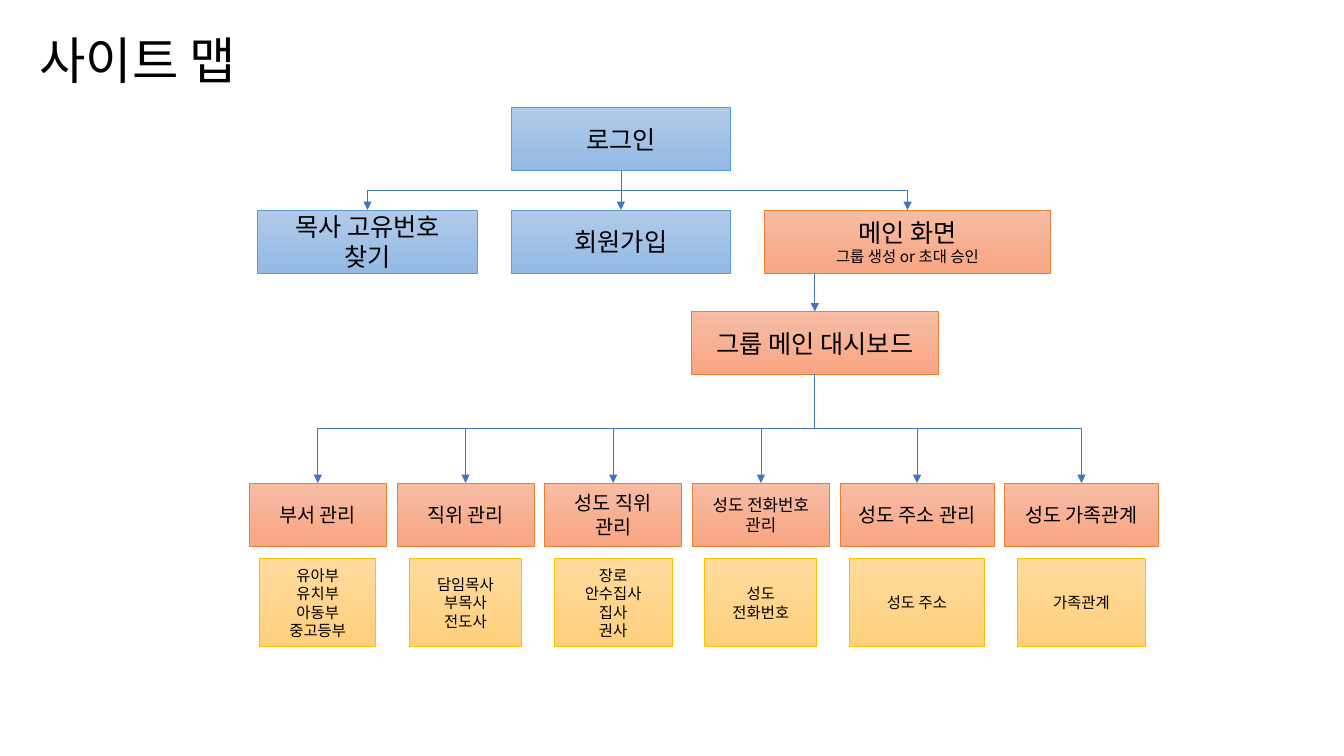
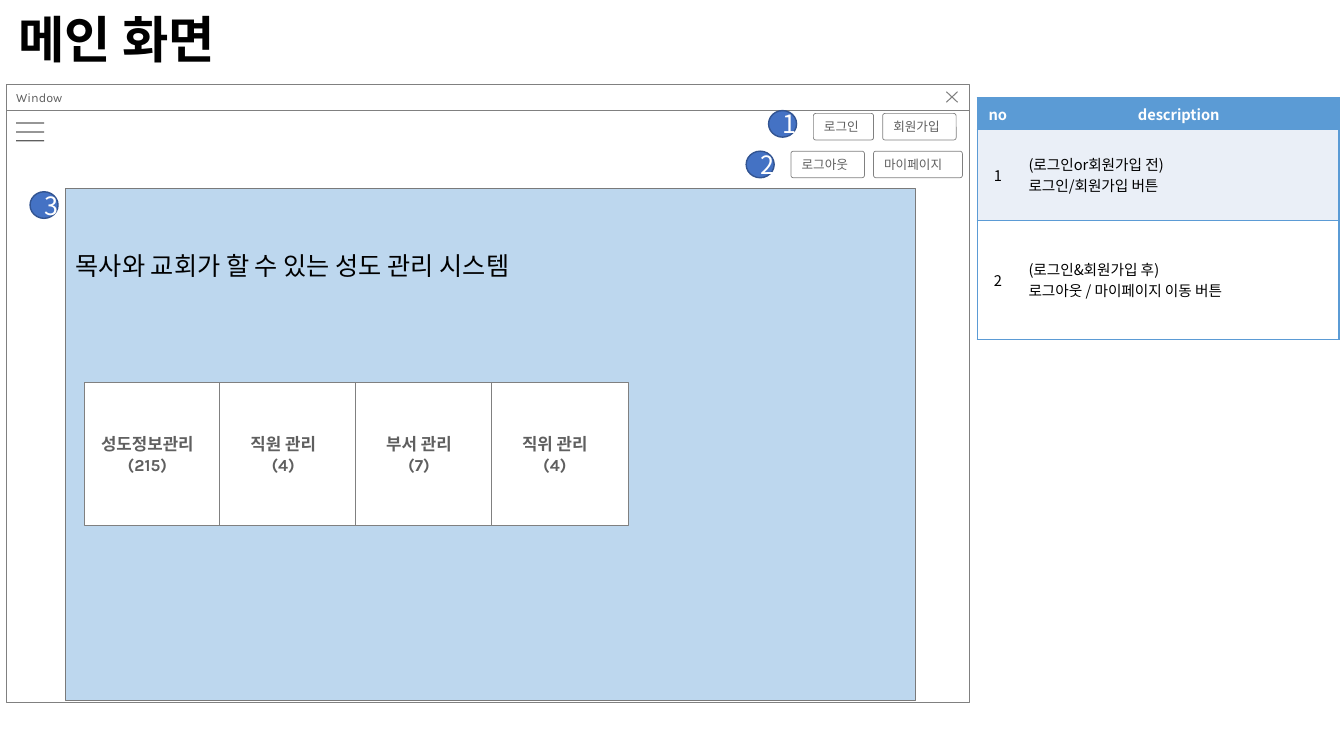
from dataclasses import dataclass
from typing import NamedTuple

from lxml.etree import SubElement
from pptx import Presentation
from pptx.dml.color import RGBColor
from pptx.enum.shapes import MSO_CONNECTOR, MSO_SHAPE
from pptx.enum.text import MSO_ANCHOR, PP_ALIGN
from pptx.oxml import parse_xml
from pptx.oxml.ns import nsdecls, qn
from pptx.util import Pt


@dataclass(frozen=True)
class Theme:
    font: str = "Noto Sans CJK KR"
    latin: str = "Karla"
    ink: str = "000000"
    white: str = "FFFFFF"
    gray: str = "5F5F5F"
    frame: str = "808080"
    edge: str = "7A7A7A"
    link: str = "4472C4"
    rim: str = "325491"
    sky: str = "BDD7EE"
    head: str = "5B9BD5"
    band: str = "EAEFF7"
    blue: tuple = ("B1CBE9", "93B9E4", "5B9BD5")
    coral: tuple = ("F7BDA5", "F8A582", "ED7D31")
    gold: tuple = ("FFDB9E", "FFD07C", "FFC000")
    title: float = 36
    large: float = 18
    mid: float = 14
    label: float = 12
    small: float = 11
    cell: float = 10.5
    tiny: float = 9
    thin: float = 0.5


class Box(NamedTuple):
    x: float
    y: float
    w: float
    h: float

    def place(self):
        return [Pt(v) for v in self]


T = Theme()
RECT = MSO_SHAPE.RECTANGLE


def rgb(code):
    return RGBColor.from_string(code)


def write(frame, text, size, color=T.ink, font=T.font, bold=False, align=PP_ALIGN.CENTER):
    frame.text = text
    for par in frame.paragraphs:
        par.alignment = align
        for run in par.runs:
            run.font.size = Pt(size)
            run.font.bold = bold
            run.font.color.rgb = rgb(color)
            run.font.name = font
            SubElement(run._r.get_or_add_rPr(), qn("a:ea")).set("typeface", T.font)


def pen(shape, color, width=T.thin):
    shape.line.color.rgb = rgb(color)
    shape.line.width = Pt(width)


def block(slide, box, fill=T.white, edge=T.frame, width=T.thin, kind=RECT):
    shape = slide.shapes.add_shape(kind, *box.place())
    shape.shadow.inherit = False
    shape.fill.solid()
    shape.fill.fore_color.rgb = rgb(fill)
    pen(shape, edge, width)
    shape.text_frame.word_wrap = True
    return shape


def node(slide, box, text, tone, size=T.large):
    top, low, edge = tone
    shape = block(slide, box, top, edge)
    shape.fill.gradient()
    shape.fill.gradient_angle = 270
    for stop, color in zip(shape.fill.gradient_stops, (top, low)):
        stop.color.rgb = rgb(color)
    write(shape.text_frame, text, size)
    return shape


def title(slide, box, text, bold=False):
    frame = slide.shapes.add_textbox(*box.place()).text_frame
    frame.word_wrap = True
    write(frame, text, T.title, bold=bold, align=PP_ALIGN.LEFT)
    frame.paragraphs[0].line_spacing = 0.9


def arrow(line):
    pen(line, T.link)
    SubElement(line.line._get_or_add_ln(), qn("a:tailEnd")).set("type", "triangle")
    SubElement(line._element.spPr, qn("a:effectLst"))


def drop(slide, x, y, low, high=None):
    line = slide.shapes.add_connector(MSO_CONNECTOR.STRAIGHT, Pt(x), Pt(y), Pt(x), low.top)
    if high is not None:
        line.begin_connect(high, 2)
    line.end_connect(low, 0)
    arrow(line)


def bend(slide, high, low):
    x1, y1 = high.left + high.width // 2, high.top + high.height
    x2, y2 = low.left + low.width // 2, low.top
    line = slide.shapes.add_connector(MSO_CONNECTOR.ELBOW, x1, y1, x2, y2)
    line.begin_connect(high, 2)
    line.end_connect(low, 0)
    run, rise = abs(x2 - x1), y2 - y1
    line.left, line.top = (x1 + x2 - rise) // 2, (y1 + y2 - run) // 2
    line.width, line.height = rise, run
    right = x2 > x1
    form = line._element.spPr.get_or_add_xfrm()
    form.set("rot", "16200000" if right else "5400000")
    form.set("flipH", "1" if right else "0")
    arrow(line)


def entry(slide, box):
    step, wide, high = 181, 157, 45
    mid = box.x + step
    row = box.y + 73
    login = node(slide, Box(mid, box.y, wide, high), "로그인", T.blue)
    find = node(slide, Box(box.x, row, wide, high), "목사 고유번호\n찾기", T.blue)
    join = node(slide, Box(mid, row, wide, high), "회원가입", T.blue)
    home = node(slide, Box(mid + step, row, 204.5, high),
                "메인 화면\n그룹 생성 or 초대 승인", T.coral)
    for run in home.text_frame.paragraphs[1].runs:
        run.font.size = Pt(T.small)
    drop(slide, mid + wide / 2, box.y + high, join, login)
    bend(slide, login, find)
    bend(slide, login, home)


def menu(slide, box, items):
    high, gap = 45, 7.5
    dash = node(slide, Box(box.x + 316, box.y, 176, high), "그룹 메인 대시보드", T.coral)
    drop(slide, box.x + 404, box.y - 27.5, dash)
    x, row = box.x, box.y + 122.5
    for text, size, wide, leaf, slim in items:
        head = node(slide, Box(x, row, wide, high), text, T.coral, size)
        node(slide, Box(x + (wide - slim) / 2, row + 54, slim, 63), leaf, T.gold, T.small)
        bend(slide, dash, head)
        x += wide + gap


def sitemap(slide):
    title(slide, Box(13, 22, 828, 104), " 사이트 맵")
    entry(slide, Box(184, 77, 572, 118))
    menu(slide, Box(178, 222.5, 650, 240), [
        ("부서 관리", T.mid, 98, "유아부\n유치부\n아동부\n중고등부", 83),
        ("직위 관리", T.mid, 98, "담임목사\n부목사\n전도사", 80),
        ("성도 직위\n관리", T.mid, 98, "장로\n안수집사\n집사\n권사", 84),
        ("성도 전화번호\n관리", T.label, 98, "성도\n전화번호", 80),
        ("성도 주소 관리", T.mid, 110, "성도 주소", 96.5),
        ("성도 가족관계", T.mid, 110, "가족관계", 91),
    ])


def trace(slide, paths, close):
    paths = [[(Pt(x), Pt(y)) for x, y in route] for route in paths]
    maker = slide.shapes.build_freeform(*paths[0][0], scale=1.0)
    for route in paths:
        maker.move_to(*route[0])
        maker.add_line_segments(route[1:], close=close)
    shape = maker.convert_to_shape()
    shape.shadow.inherit = False
    return shape


def cross(slide, box):
    x, y, w, h = box
    shape = trace(slide, [[(x + w, y), (x, y + h)], [(x, y), (x + w, y + h)]], False)
    shape.fill.background()
    pen(shape, T.frame, 0.75)


def bars(slide, box):
    x, y, w, h = box
    thick = 0.9
    tops = [y + i * (h - thick) / 2 for i in range(3)]
    shape = trace(slide, [[(x, t), (x, t + thick), (x + w, t + thick), (x + w, t)]
                          for t in tops], True)
    shape.fill.solid()
    shape.fill.fore_color.rgb = rgb(T.gray)
    shape.line.fill.background()


def window(slide, box):
    bar = 18.5
    block(slide, Box(box.x, box.y + bar, box.w, box.h - bar))
    top = block(slide, Box(box.x, box.y, box.w, bar))
    write(top.text_frame, "Window", T.tiny, T.gray, T.latin, align=PP_ALIGN.LEFT)
    cross(slide, Box(box.x + box.w - 16.5, box.y + 5.5, 8, 7.5))
    bars(slide, Box(box.x + 7, box.y + 27.5, 20, 13.5))


def badge(slide, x, y, text):
    shape = block(slide, Box(x, y, 20, 19), T.link, T.rim, 1, MSO_SHAPE.OVAL)
    write(shape.text_frame, text, T.large, T.white)


def buttons(slide, box, items):
    x = box.x
    for text, wide in items:
        shape = block(slide, Box(x, box.y, wide, box.h), kind=MSO_SHAPE.ROUNDED_RECTANGLE)
        shape.adjustments[0] = 0.09
        write(shape.text_frame, text, T.tiny, T.gray, T.latin, align=PP_ALIGN.LEFT)
        x += wide + 6.5


def hero(slide, box, tiles):
    shape = block(slide, box, T.sky, T.edge, 1)
    frame = shape.text_frame
    frame.vertical_anchor = MSO_ANCHOR.TOP
    frame.margin_top = Pt(44)
    write(frame, "목사와 교회가 할 수 있는 성도 관리 시스템", T.large, align=PP_ALIGN.LEFT)
    for i, text in enumerate(tiles):
        tile = block(slide, Box(box.x + 13 + 97 * i, box.y + 139, 98, 102))
        tile.text_frame.margin_right = Pt(14.5)
        write(tile.text_frame, text, T.label, T.gray, T.latin, True)


def border(cell, sides):
    props = cell._tc.get_or_add_tcPr()
    for i, side in enumerate(sides):
        props.insert(i, parse_xml(
            f'<a:ln{side} {nsdecls("a")} w="12700"><a:solidFill>'
            f'<a:srgbClr val="{T.head}"/></a:solidFill></a:ln{side}>'))


def notes(slide, box, rows):
    table = slide.shapes.add_table(len(rows), 2, *box.place()).table
    style = table._tbl.tblPr.find(qn("a:tableStyleId"))
    style.text = "{2D5ABB26-0587-4C30-8999-92F81FD0307C}"
    for col, wide in zip(table.columns, (29.5, box.w - 29.5)):
        col.width = Pt(wide)
    for r, (high, fill, *texts) in enumerate(rows):
        table.rows[r].height = Pt(high)
        for c, text in enumerate(texts):
            cell = table.cell(r, c)
            cell.fill.solid()
            cell.fill.fore_color.rgb = rgb(fill)
            cell.vertical_anchor = MSO_ANCHOR.MIDDLE if r else MSO_ANCHOR.TOP
            write(cell.text_frame, text, T.cell, T.ink if r else T.white, bold=not r,
                  align=PP_ALIGN.LEFT if r and c else PP_ALIGN.CENTER)
            border(cell, "RTB" if c else "LTB")


def screen(slide):
    title(slide, Box(6, 7, 553, 52.5), "메인 화면", True)
    window(slide, Box(4.5, 60, 688, 442))
    buttons(slide, Box(581, 81, 102, 19), [("로그인", 43), ("회원가입", 52.5)])
    buttons(slide, Box(565, 108, 123, 19), [("로그아웃", 52.5), ("마이페이지", 63.5)])
    hero(slide, Box(47, 134.5, 607, 366),
         ["성도정보관리(215)", "직원 관리\n(4)", "부서 관리\n(7)", "직위 관리\n(4)"])
    for x, y, text in ((549, 79, "1"), (533, 108, "2"), (21.5, 137, "3")):
        badge(slide, x, y, text)
    notes(slide, Box(698, 70, 258.5, 172.5), [
        (22.5, T.head, "no", "description"),
        (65, T.band, "1", "(로그인or회원가입 전)\n로그인/회원가입 버튼"),
        (85, T.white, "2", "(로그인&회원가입 후)\n로그아웃 / 마이페이지 이동 버튼"),
    ])


def main():
    deck = Presentation()
    deck.slide_width, deck.slide_height = Pt(960), Pt(540)
    for draw in (sitemap, screen):
        draw(deck.slides.add_slide(deck.slide_layouts[6]))
    deck.save("out.pptx")


if __name__ == "__main__":
    main()
